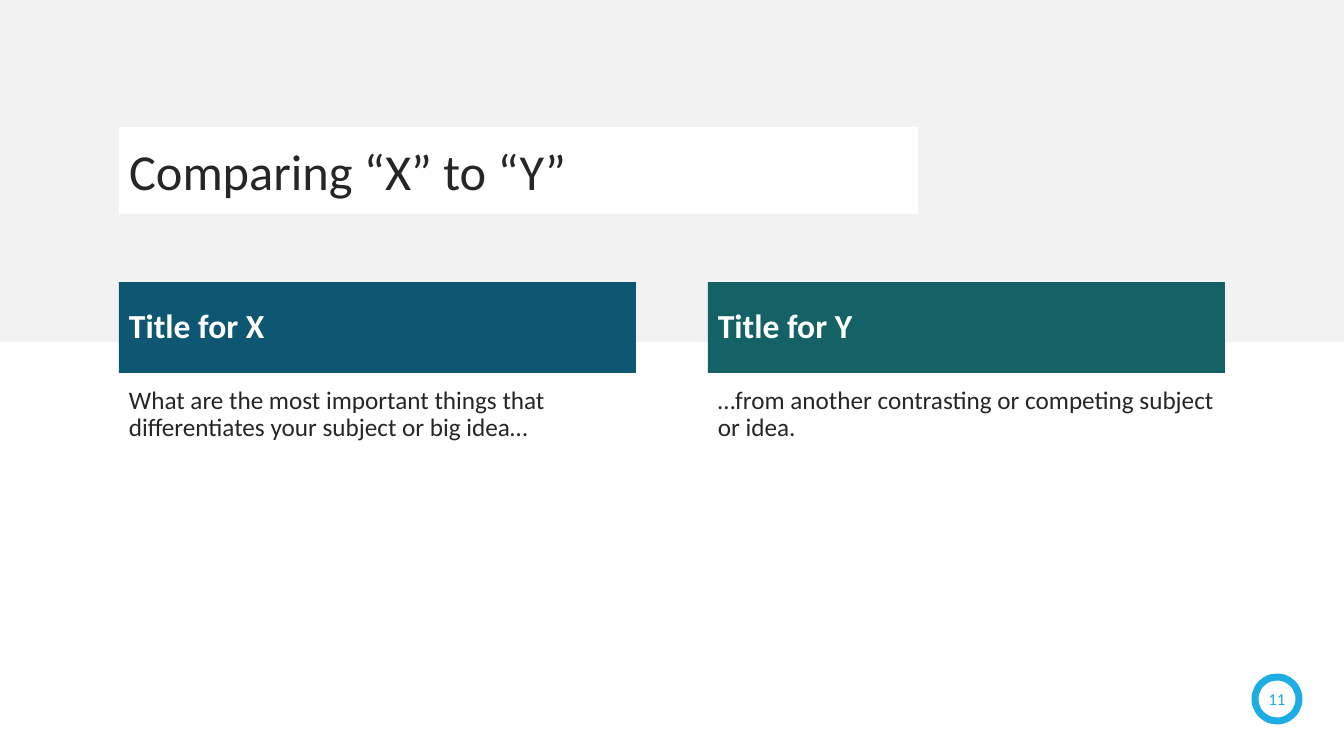
from pptx import Presentation
from pptx.dml.color import RGBColor
from pptx.enum.shapes import MSO_SHAPE
from pptx.enum.text import MSO_ANCHOR, MSO_AUTO_SIZE, PP_ALIGN
from pptx.util import Pt

RECTANGLE, OVAL = MSO_SHAPE.RECTANGLE, MSO_SHAPE.OVAL
TOP, MIDDLE = MSO_ANCHOR.TOP, MSO_ANCHOR.MIDDLE
LEFT, CENTER = PP_ALIGN.LEFT, PP_ALIGN.CENTER
NO_FIT = MSO_AUTO_SIZE.NONE

WHITE = RGBColor(0xFF, 0xFF, 0xFF)
PALE_GRAY = RGBColor(0xF2, 0xF2, 0xF2)
DARK_GRAY = RGBColor(0x26, 0x26, 0x26)
BLUE = RGBColor(0x0E, 0x57, 0x72)
TEAL = RGBColor(0x14, 0x62, 0x66)
SKY = RGBColor(0x1C, 0xAD, 0xE4)

FONT = "Calibri"
EMU_PER_PX = 914400 / 100.8
PAGE_WIDTH, PAGE_HEIGHT = 1344, 756
MARGIN = 119
COLUMN_WIDTH = 517
COLUMN_STEP = 589
ROW_HEIGHT = 91

COLUMNS = [
    ("Title for X", BLUE,
     "What are the most important things that differentiates your subject or big idea…"),
    ("Title for Y", TEAL,
     "…from another contrasting or competing subject or idea."),
]


def px(length):
    return round(length * EMU_PER_PX)


def write(box, text, size, color, bold=False, anchor=MIDDLE, align=LEFT, spacing=0.9):
    frame = box.text_frame
    frame.word_wrap = True
    frame.auto_size = NO_FIT
    frame.vertical_anchor = anchor
    frame.text = text
    para = frame.paragraphs[0]
    para.alignment = align
    para.line_spacing = spacing
    font = para.font
    font.name, font.size, font.bold = FONT, Pt(size), bold
    font.color.rgb = color


def add_block(page, kind, left, top, width, height, fill):
    block = page.shapes.add_shape(kind, px(left), px(top), px(width), px(height))
    block.shadow.inherit = False
    block.fill.solid()
    block.fill.fore_color.rgb = fill
    block.line.fill.background()
    return block


def place_title(page, text):
    title = page.shapes.title
    title.left, title.top = px(MARGIN), px(127)
    title.width, title.height = px(799), px(87)
    title.fill.solid()
    title.fill.fore_color.rgb = WHITE
    write(title, text, 36, DARK_GRAY, spacing=1.0)


def add_column(page, left, heading, fill, body):
    header = add_block(page, RECTANGLE, left, 282, COLUMN_WIDTH, ROW_HEIGHT, fill)
    write(header, heading, 24, WHITE, bold=True)
    box = page.shapes.add_textbox(px(left), px(383), px(COLUMN_WIDTH), px(ROW_HEIGHT))
    write(box, body, 18, DARK_GRAY, anchor=TOP)


def add_page_number(page, number):
    badge = add_block(page, OVAL, 1255, 677, 44, 44, WHITE)
    badge.line.color.rgb = SKY
    badge.line.width = Pt(5)
    frame = badge.text_frame
    frame.margin_left = frame.margin_right = 0
    frame.margin_top = frame.margin_bottom = 0
    write(badge, number, 12, SKY, align=CENTER, spacing=1.0)


def main():
    deck = Presentation()
    deck.slide_width, deck.slide_height = px(PAGE_WIDTH), px(PAGE_HEIGHT)
    page = deck.slides.add_slide(deck.slide_layouts[5])

    band = add_block(page, RECTANGLE, 0, 0, PAGE_WIDTH, 342, PALE_GRAY)
    page.shapes.title.element.addprevious(band.element)
    place_title(page, "Comparing “X” to “Y”")
    for index, column in enumerate(COLUMNS):
        add_column(page, MARGIN + index * COLUMN_STEP, *column)
    add_page_number(page, "11")

    deck.save("out.pptx")


if __name__ == "__main__":
    main()
